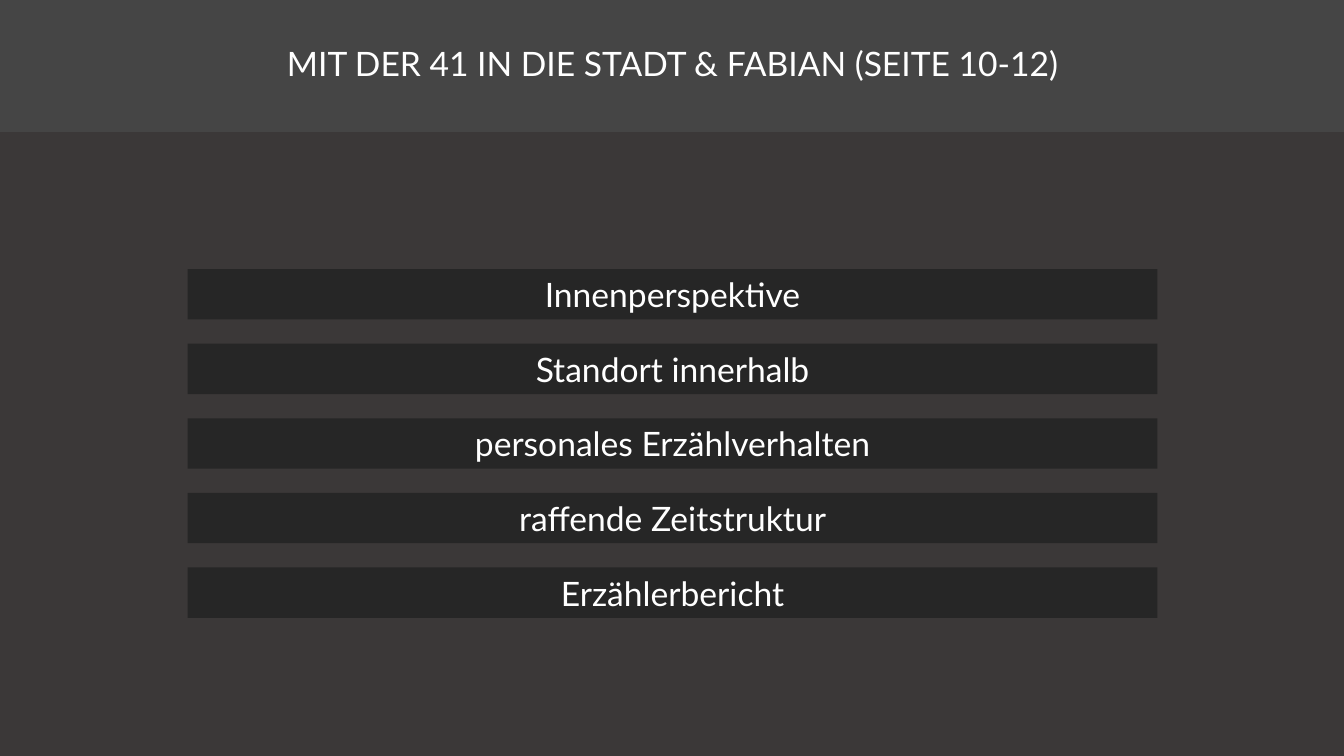
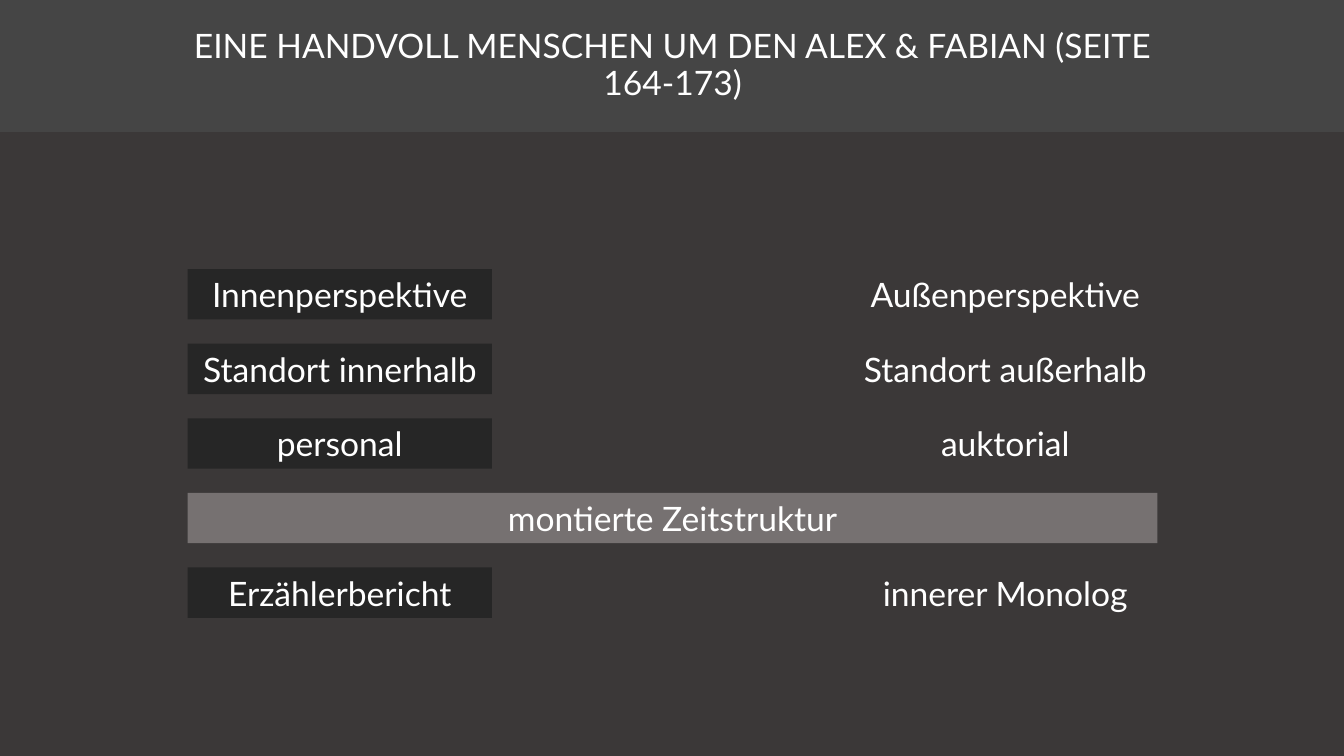
import dataclasses

import pptx
import pptx.dml.color
import pptx.enum.shapes
import pptx.enum.text
import pptx.util

Inches = pptx.util.Inches
Pt = pptx.util.Pt
Align = pptx.enum.text.PP_ALIGN
Anchor = pptx.enum.text.MSO_ANCHOR


@dataclasses.dataclass(frozen=True)
class Theme:
    """Colours, type and grid shared by the slides."""

    head: str = "454545"
    body: str = "3B3838"
    dark: str = "262626"
    grey: str = "767171"
    white: str = "FFFFFF"
    font: str = "Lato"
    size: int = 24
    width: float = 13.33
    height: float = 7.5
    band: float = 1.31
    left: float = 1.86
    span: float = 9.62
    cell: float = 3.02
    top: float = 2.67
    pitch: float = 0.74
    bar: float = 0.5


THEME = Theme()


def paint(fill, tone):
    """Set a solid fill."""
    fill.solid()
    fill.fore_color.rgb = pptx.dml.color.RGBColor.from_string(tone)


def write(shape, text):
    """Put one centred line of theme text into a shape."""
    frame = shape.text_frame
    frame.text = text
    frame.word_wrap = True
    para = frame.paragraphs[0]
    para.alignment = Align.CENTER
    font = para.runs[0].font
    font.name = THEME.font
    font.size = Pt(THEME.size)
    font.color.rgb = pptx.dml.color.RGBColor.from_string(THEME.white)
    return frame, para


def add_rect(slide, left, top, width, height, tone):
    """Add a plain filled rectangle."""
    kind = pptx.enum.shapes.MSO_SHAPE.RECTANGLE
    box = [Inches(n) for n in (left, top, width, height)]
    shape = slide.shapes.add_shape(kind, *box)
    shape.shadow.inherit = False
    paint(shape.fill, tone)
    shape.line.fill.background()
    return shape


def add_bar(slide, row, text, tone, left=THEME.left, width=THEME.span):
    """Add a labelled bar on a grid row."""
    top = THEME.top + row * THEME.pitch
    shape = add_rect(slide, left, top, width, THEME.bar, tone)
    frame, para = write(shape, text)
    frame.vertical_anchor = Anchor.TOP
    frame.auto_size = pptx.enum.text.MSO_AUTO_SIZE.SHAPE_TO_FIT_TEXT
    para.space_after = Pt(6)


def add_pair(slide, row, first, second):
    """Add two facing bars on a grid row."""
    right = THEME.left + THEME.span - THEME.cell
    add_bar(slide, row, first, THEME.dark, THEME.left, THEME.cell)
    add_bar(slide, row, second, THEME.body, right, THEME.cell)


def add_page(deck, title):
    """Add a slide with its title and body panel."""
    slide = deck.slides.add_slide(deck.slide_layouts[6])
    box = slide.shapes.add_textbox(
        Inches(1.67), Inches(0), Inches(10), Inches(THEME.band))
    frame, para = write(box, title)
    frame.vertical_anchor = Anchor.MIDDLE
    para.line_spacing = 0.9
    add_rect(slide, 0, THEME.band, THEME.width,
             THEME.height - THEME.band, THEME.body)
    return slide


def main():
    """Build and save the deck."""
    deck = pptx.Presentation()
    deck.slide_width = Inches(THEME.width)
    deck.slide_height = Inches(THEME.height)
    paint(deck.slide_master.background.fill, THEME.head)

    slide = add_page(deck, "MIT DER 41 IN DIE STADT & FABIAN (SEITE 10-12)")
    traits = ("Innenperspektive", "Standort innerhalb",
              "personales Erzählverhalten", "raffende Zeitstruktur",
              "Erzählerbericht")
    for row, text in enumerate(traits):
        add_bar(slide, row, text, THEME.dark)

    slide = add_page(
        deck, "EINE HANDVOLL MENSCHEN UM DEN ALEX & FABIAN (SEITE 164-173)")
    pairs = {
        0: ("Innenperspektive", "Außenperspektive"),
        1: ("Standort innerhalb", "Standort außerhalb"),
        2: ("personal", "auktorial"),
        4: ("Erzählerbericht", "innerer Monolog"),
    }
    for row, pair in pairs.items():
        add_pair(slide, row, *pair)
    add_bar(slide, 3, "montierte Zeitstruktur", THEME.grey)

    deck.save("out.pptx")


if __name__ == "__main__":
    main()
